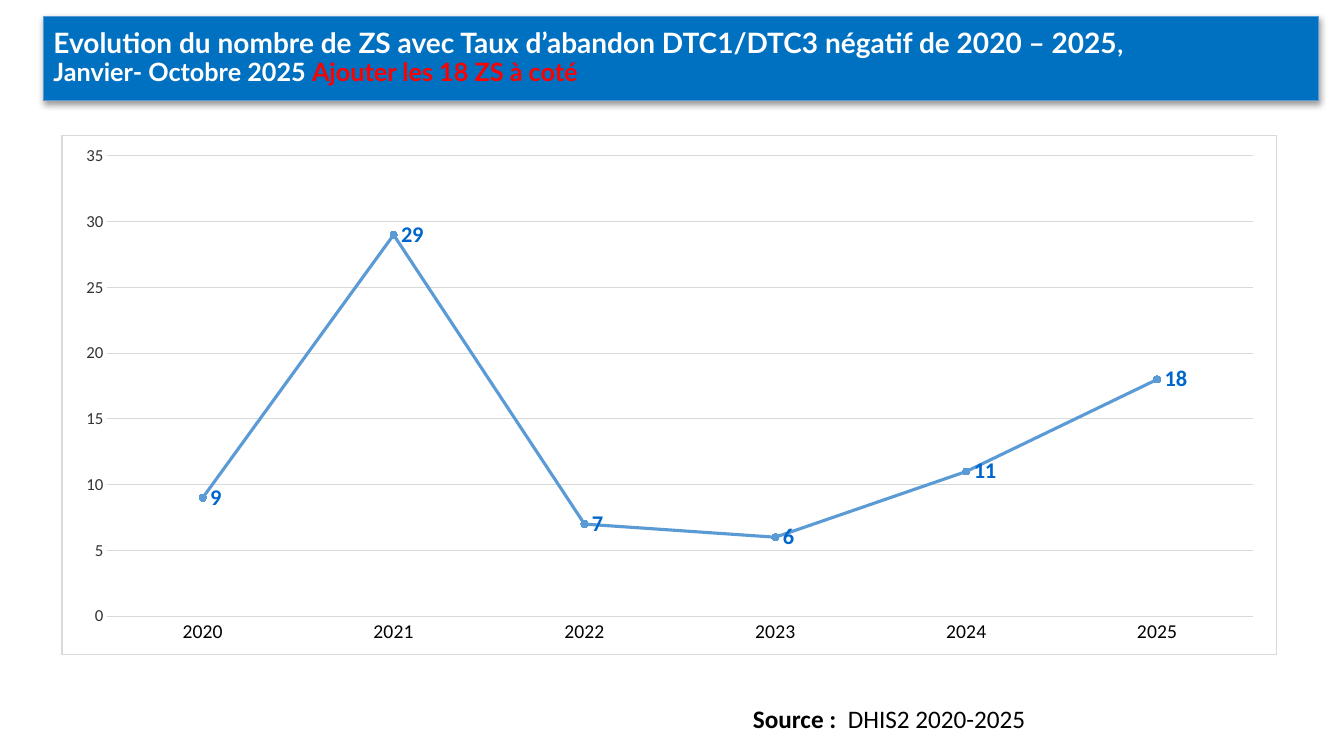
from dataclasses import dataclass

import lxml.etree
import pptx
import pptx.chart.data
import pptx.dml.color
import pptx.enum.chart
import pptx.enum.text
import pptx.oxml
import pptx.oxml.ns
import pptx.util

Inches = pptx.util.Inches
Pt = pptx.util.Pt
qn = pptx.oxml.ns.qn


@dataclass(frozen=True)
class Theme:
    """Colours, fonts and type sizes of the slide."""
    banner: str = "0070C0"
    series: str = "5B9BD5"
    grid: str = "D9D9D9"
    value_label: str = "0066CC"
    axis_text: str = "333333"
    alert: str = "FF0000"
    white: str = "FFFFFF"
    black: str = "000000"
    title_font: str = "Lato"
    body_font: str = "Calibri"
    title_size: int = 20
    body_size: int = 18
    label_size: int = 16
    category_size: int = 14
    axis_size: int = 12
    chart_size: int = 10
    hairline: float = 0.75
    series_line: float = 2.25


THEME = Theme()


def rgb(colour):
    """Turn a hex string into a colour."""
    return pptx.dml.color.RGBColor.from_string(colour)


def style_font(font, size, colour, name=THEME.body_font, bold=False):
    """Format a font."""
    font.name, font.size, font.bold = name, Pt(size), bold
    font.color.rgb = rgb(colour)


def style_line(line, colour, width=THEME.hairline):
    """Format an outline or a rule."""
    line.color.rgb = rgb(colour)
    line.width = Pt(width)


def write(paragraph, text, **font_format):
    """Add formatted text to a paragraph, breaking lines at each newline."""
    for number, piece in enumerate(text.split("\n")):
        if number:
            paragraph.add_line_break()
        run = paragraph.add_run()
        run.text = piece
        style_font(run.font, **font_format)


def add_banner_shadow(banner):
    """Give the banner a soft shadow below it."""
    banner.shadow.inherit = False
    effects = banner.element.spPr.find(qn("a:effectLst"))
    shadow = lxml.etree.SubElement(
        effects, qn("a:outerShdw"), blurRad=str(Pt(5)), dist=str(Pt(1.6)),
        dir="5400000", algn="ctr", rotWithShape="0")
    colour = lxml.etree.SubElement(shadow, qn("a:srgbClr"), val=THEME.black)
    lxml.etree.SubElement(colour, qn("a:alpha"), val="38000")


def place_banner(slide, left, top, width, height):
    """Turn the title placeholder into the blue banner."""
    banner = slide.shapes.title
    banner.left, banner.top, banner.width, banner.height = left, top, width, height
    banner.fill.solid()
    banner.fill.fore_color.rgb = rgb(THEME.banner)
    style_line(banner.line, THEME.series)
    add_banner_shadow(banner)
    frame = banner.text_frame
    frame.word_wrap = True
    frame.auto_size = pptx.enum.text.MSO_AUTO_SIZE.NONE
    frame.vertical_anchor = pptx.enum.text.MSO_ANCHOR.MIDDLE
    frame.margin_left = frame.margin_right = Inches(0.1)
    frame.margin_top = frame.margin_bottom = Inches(0.05)
    heading = frame.paragraphs[0]
    heading.alignment = pptx.enum.text.PP_ALIGN.LEFT
    heading.line_spacing = 0.9
    for text, size, colour in (
        ("Evolution du nombre de ZS avec Taux d’abandon DTC1/DTC3 négatif de 2020 – 2025",
         THEME.title_size, THEME.white),
        (", \nJanvier- Octobre 2025 ", THEME.body_size, THEME.white),
        ("Ajouter les 18 ZS à coté", THEME.body_size, THEME.alert),
    ):
        write(heading, text, size=size, colour=colour, name=THEME.title_font, bold=True)


def frame_chart(chart):
    """Give the chart area a white fill and a thin grey border."""
    area = pptx.oxml.parse_xml(
        f'<c:spPr {pptx.oxml.ns.nsdecls("c", "a")}>'
        f'<a:solidFill><a:srgbClr val="{THEME.white}"/></a:solidFill>'
        f'<a:ln w="{Pt(THEME.hairline)}"><a:solidFill><a:srgbClr val="{THEME.grid}"/>'
        '</a:solidFill></a:ln></c:spPr>')
    chart.element.find(qn("c:chart")).addnext(area)


def style_axes(chart):
    """Format the year axis and the count axis."""
    no_ticks = pptx.enum.chart.XL_TICK_MARK.NONE
    years, counts = chart.category_axis, chart.value_axis
    for axis in (years, counts):
        axis.major_tick_mark = axis.minor_tick_mark = no_ticks
    years.has_major_gridlines = False
    style_line(years.format.line, THEME.grid)
    style_font(years.tick_labels.font, THEME.category_size, THEME.black)
    counts.minimum_scale, counts.maximum_scale, counts.major_unit = 0, 35, 5
    counts.has_major_gridlines = True
    style_line(counts.major_gridlines.format.line, THEME.grid)
    counts.format.line.fill.background()
    style_font(counts.tick_labels.font, THEME.axis_size, THEME.axis_text)


def style_series(series):
    """Format the line, its markers and its value labels."""
    series.smooth = False
    style_line(series.format.line, THEME.series, THEME.series_line)
    marker = series.marker
    marker.style = pptx.enum.chart.XL_MARKER_STYLE.CIRCLE
    marker.size = 5
    marker.format.fill.solid()
    marker.format.fill.fore_color.rgb = rgb(THEME.series)
    style_line(marker.format.line, THEME.series)
    labels = series.data_labels
    labels.show_value = True
    labels.position = pptx.enum.chart.XL_LABEL_POSITION.RIGHT
    style_font(labels.font, THEME.label_size, THEME.value_label, bold=True)


def place_chart(slide, left, top, width, height):
    """Draw the yearly number of health zones as a line chart."""
    zones = pptx.chart.data.CategoryChartData()
    zones.categories = [str(year) for year in range(2020, 2026)]
    zones.add_series("Series 1", (9, 29, 7, 6, 11, 18))
    chart = slide.shapes.add_chart(
        pptx.enum.chart.XL_CHART_TYPE.LINE_MARKERS, left, top, width, height, zones).chart
    chart.has_title = chart.has_legend = False
    style_font(chart.font, THEME.chart_size, THEME.black)
    frame_chart(chart)
    style_axes(chart)
    chart.plots[0].vary_by_categories = False
    style_series(chart.plots[0].series[0])


def place_source(slide, left, top, width, height):
    """Write the data source below the chart."""
    frame = slide.shapes.add_textbox(left, top, width, height).text_frame
    frame.word_wrap = True
    frame.auto_size = pptx.enum.text.MSO_AUTO_SIZE.SHAPE_TO_FIT_TEXT
    for text, bold in (("Source : ", True), (" DHIS2 2020-2025", False)):
        write(frame.paragraphs[0], text, size=THEME.body_size, colour=THEME.black, bold=bold)


def main():
    """Build the slide and save it."""
    deck = pptx.Presentation()
    deck.slide_width, deck.slide_height = Inches(13.33), Inches(7.5)
    slide = deck.slides.add_slide(deck.slide_layouts[5])
    place_banner(slide, Inches(0.43), Inches(0.16), Inches(12.65), Inches(0.84))
    place_source(slide, Inches(7.37), Inches(6.93), Inches(5.54), Inches(0.4))
    place_chart(slide, Inches(0.61), Inches(1.34), Inches(12.06), Inches(5.16))
    deck.save("out.pptx")


if __name__ == "__main__":
    main()
